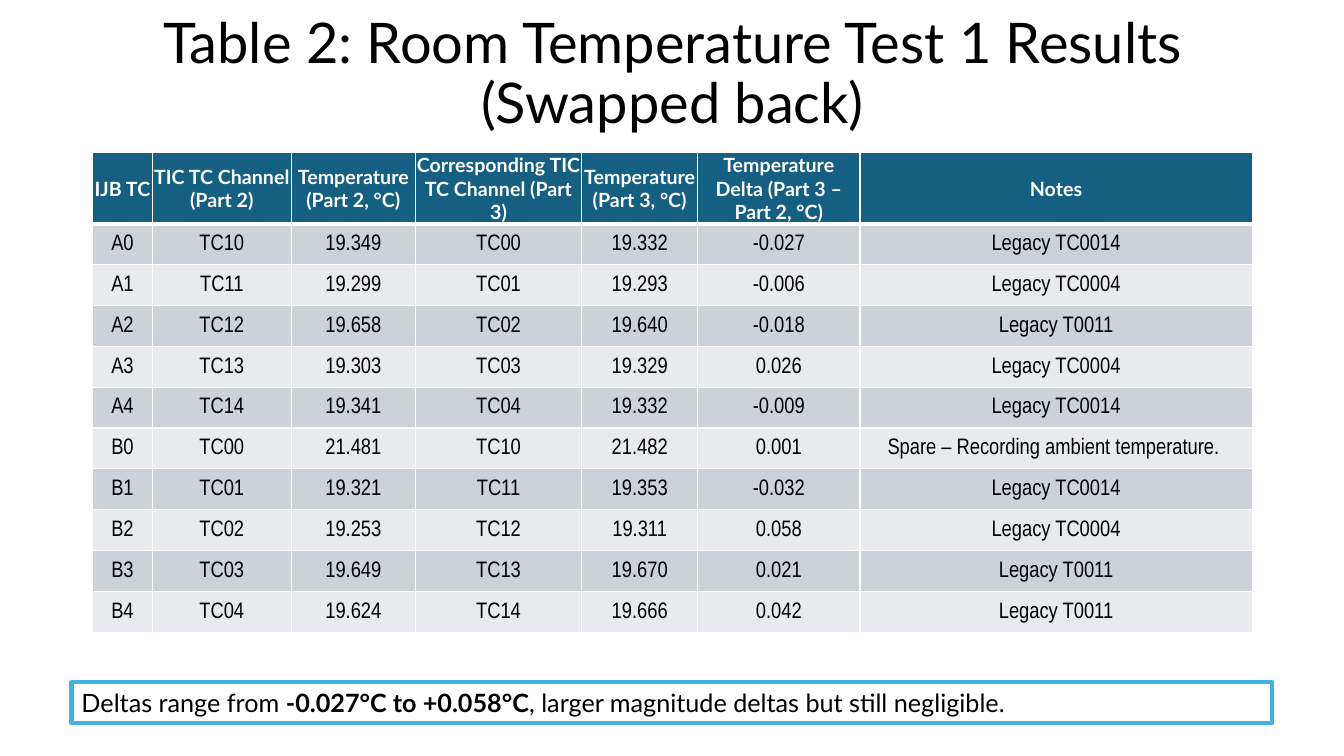
from lxml import etree
from pptx import Presentation
from pptx.dml.color import RGBColor
from pptx.enum.shapes import MSO_SHAPE
from pptx.enum.text import MSO_ANCHOR, MSO_AUTO_SIZE, PP_ALIGN
from pptx.oxml.ns import qn
from pptx.util import Inches, Pt

RECT = MSO_SHAPE.RECTANGLE
MIDDLE = MSO_ANCHOR.MIDDLE
GROW = MSO_AUTO_SIZE.SHAPE_TO_FIT_TEXT
CENTER, LEFT = PP_ALIGN.CENTER, PP_ALIGN.LEFT

HEAD = ["IJB TC", "TIC TC Channel (Part 2)", "Temperature (Part 2, °C)",
        "Corresponding TIC TC Channel (Part 3)", "Temperature (Part 3, °C)",
        "Temperature Delta (Part 3 – Part 2, °C)", "Notes"]
ROWS = [
    ["A0", "TC10", "19.349", "TC00", "19.332", "-0.027", "Legacy TC0014"],
    ["A1", "TC11", "19.299", "TC01", "19.293", "-0.006", "Legacy TC0004"],
    ["A2", "TC12", "19.658", "TC02", "19.640", "-0.018", "Legacy T0011"],
    ["A3", "TC13", "19.303", "TC03", "19.329", "0.026", "Legacy TC0004"],
    ["A4", "TC14", "19.341", "TC04", "19.332", "-0.009", "Legacy TC0014"],
    ["B0", "TC00", "21.481", "TC10", "21.482", "0.001",
     "Spare – Recording ambient temperature. "],
    ["B1", "TC01", "19.321", "TC11", "19.353", "-0.032", "Legacy TC0014"],
    ["B2", "TC02", "19.253", "TC12", "19.311", "0.058", "Legacy TC0004"],
    ["B3", "TC03", "19.649", "TC13", "19.670", "0.021", "Legacy T0011"],
    ["B4", "TC04", "19.624", "TC14", "19.666", "0.042", "Legacy T0011"],
]
WIDTHS = [0.59, 1.38, 1.23, 1.65, 1.15, 1.61, 3.89]
BANDS = ["CCD2D8", "E8EAED"]


def color(code):
    return RGBColor.from_string(code)


def style(run, size, name="Lato", ink="000000", bold=False):
    font = run.font
    font.size, font.name, font.bold = Pt(size), name, bold
    font.color.rgb = color(ink)


def add_title(slide, left, top, width, height):
    box = slide.shapes.add_textbox(*map(Inches, (left, top, width, height)))
    frame = box.text_frame
    frame.word_wrap = True
    frame.vertical_anchor = MIDDLE
    frame.text = "Table 2: Room Temperature Test 1 Results (Swapped back)"
    para = frame.paragraphs[0]
    para.alignment, para.line_spacing = CENTER, 0.9
    style(para.runs[0], 40)


def add_edges(cell, below):
    props = cell._tc.get_or_add_tcPr()
    for tag, width in (("lnL", 1), ("lnR", 1), ("lnT", 1), ("lnB", below)):
        line = etree.SubElement(props, qn("a:" + tag), w=str(Pt(width)))
        fill = etree.SubElement(line, qn("a:solidFill"))
        etree.SubElement(fill, qn("a:srgbClr"), val="FFFFFF")


def fill_cell(cell, text, back, below, **look):
    add_edges(cell, below)
    cell.fill.solid()
    cell.fill.fore_color.rgb = color(back)
    cell.margin_left = cell.margin_right = cell.margin_top = Inches(0.01)
    cell.margin_bottom = 0
    cell.vertical_anchor = MIDDLE
    cell.text_frame.text = text
    para = cell.text_frame.paragraphs[0]
    para.alignment = CENTER
    style(para.runs[0], **look)


def add_results(slide, left, top, width, height):
    table = slide.shapes.add_table(
        len(ROWS) + 1, len(HEAD),
        *map(Inches, (left, top, width, height))).table
    for col, size in zip(table.columns, WIDTHS):
        col.width = Inches(size)
    for row in table.rows:
        row.height = Inches(height / len(table.rows))
    # Header row
    for cell, text in zip(table.rows[0].cells, HEAD):
        fill_cell(cell, text, "156082", 3, size=14, ink="FFFFFF", bold=True)
    # Banded readings; the first row keeps the thick line under the header
    for i, texts in enumerate(ROWS):
        for cell, text in zip(table.rows[i + 1].cells, texts):
            fill_cell(cell, text, BANDS[i % 2], 1, size=16,
                      name="Arial Narrow")
            if i == 0:
                edge = cell._tc.tcPr.find(qn("a:lnT"))
                edge.set("w", str(Pt(3)))


def add_summary(slide, left, top, width, height):
    box = slide.shapes.add_shape(
        RECT, *map(Inches, (left, top, width, height)))
    box.shadow.inherit = False
    box.fill.background()
    box.line.color.rgb = color("46B1E1")
    box.line.width = Pt(3)
    frame = box.text_frame
    frame.word_wrap = True
    frame.auto_size = GROW
    para = frame.paragraphs[0]
    para.alignment = LEFT
    for text, bold in (
            ("Deltas range from ", False),
            ("-0.027°C to +0.058°C", True),
            (", larger magnitude deltas but still negligible.", False)):
        run = para.add_run()
        run.text = text
        style(run, 18, bold=bold)


def main():
    deck = Presentation()
    deck.slide_width, deck.slide_height = Inches(13.33), Inches(7.5)
    slide = deck.slides.add_slide(deck.slide_layouts[6])
    add_title(slide, 0.92, 0.02, 11.5, 1.45)
    add_results(slide, 0.92, 1.51, 11.5, 4.46)
    add_summary(slide, 0.71, 6.77, 11.91, 0.4)
    deck.save("out.pptx")


if __name__ == "__main__":
    main()
